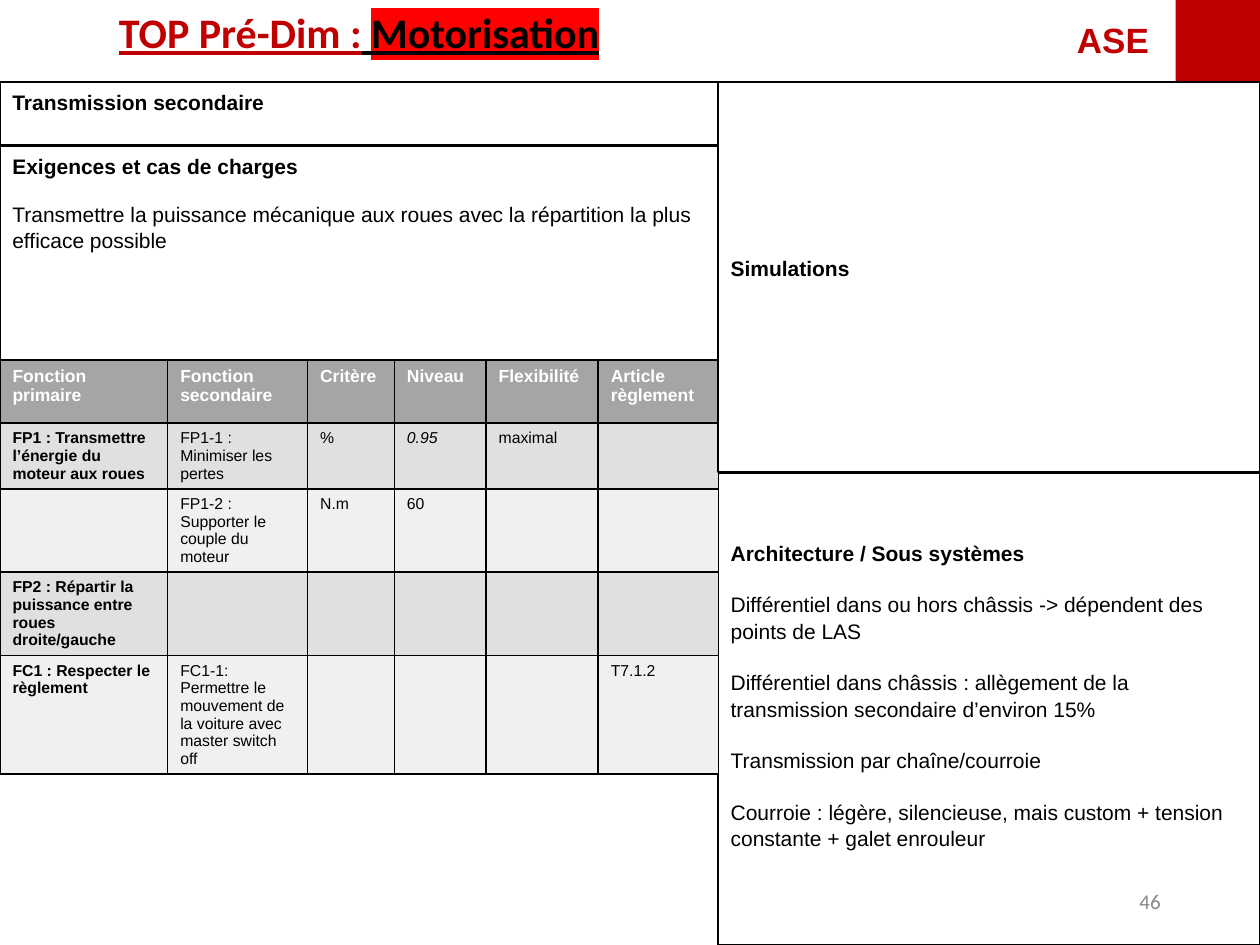
from lxml import etree
from pptx import Presentation
from pptx import util as u
from pptx.dml.color import RGBColor
from pptx.enum import shapes, text
from pptx.oxml import ns

Cm, Pt = u.Cm, u.Pt
TOP, MID = text.MSO_ANCHOR.TOP, text.MSO_ANCHOR.MIDDLE
LEFT, RIGHT, CENTER = (text.PP_ALIGN.LEFT, text.PP_ALIGN.RIGHT,
                       text.PP_ALIGN.CENTER)

HUES = {"red": "C00000", "mark": "FF0000", "ink": "000000",
        "white": "FFFFFF", "pale": "888888",
        "head": "A5A5A5", "odd": "E0E0E0", "even": "F0F0F0"}

BODY = {"name": "Arial", "size": Pt(12), "bold": False}
BOLD = {**BODY, "bold": True}
TITLE = {"name": "Calibri", "size": Pt(24), "bold": True, "underline": True}
CELL = {**BODY, "size": Pt(9)}

# Page grid in cm: left column, right column and the line under the title
SPLIT, WIDE, TALL, BAND = 14.48, 25.4, 19.05, 1.65

COLS = [3.38, 2.82, 1.75, 1.85, 2.26, 2.42]
ROWS = [1.27, 1.32, 1.68, 1.68, 2.38]
DATA = [
    ["Fonction primaire", "Fonction secondaire", "Critère", "Niveau",
     "Flexibilité", "Article règlement"],
    ["FP1 : Transmettre l’énergie du moteur aux roues",
     "FP1-1 : Minimiser les pertes", "%", "0.95", "maximal", ""],
    ["", "FP1-2 : Supporter le couple du moteur", "N.m", "60", "", ""],
    ["FP2 : Répartir la puissance entre roues droite/gauche",
     "", "", "", "", ""],
    ["FC1 : Respecter le règlement",
     "FC1-1: Permettre le mouvement de la voiture avec master switch off",
     "", "", "", "T7.1.2"],
]

NEEDS = [
    ("Exigences et cas de charges", BOLD),
    ("Transmettre la puissance mécanique aux roues avec la répartition "
     "la plus efficace possible", BODY),
]
PARTS = [("Architecture / Sous systèmes", BOLD)] + [(line, BODY) for line in (
    "Différentiel dans ou hors châssis -> dépendent des points de LAS",
    "Différentiel dans châssis : allègement de la transmission secondaire "
    "d’environ 15%",
    "Transmission par chaîne/courroie",
    "Courroie : légère, silencieuse, mais custom + tension constante "
    "+ galet enrouleur")]


def tint(hue):
    return RGBColor.from_string(HUES[hue])


def style(thing, vals):
    for key, val in vals.items():
        setattr(thing, key, val)


def write(para, words, form, hue="ink"):
    run = para.add_run()
    run.text = words
    style(run.font, form)
    run.font.color.rgb = tint(hue)
    return run


def place(shape, left, top, width, height):
    style(shape, {"left": Cm(left), "top": Cm(top),
                  "width": Cm(width), "height": Cm(height)})


def setup(shape, anchor=TOP, foot=0.13):
    """Prepare the text frame of a shape; foot is the bottom inset in cm."""
    style(shape.text_frame, {
        "word_wrap": True, "auto_size": text.MSO_AUTO_SIZE.NONE,
        "vertical_anchor": anchor, "margin_left": Cm(0.25),
        "margin_right": Cm(0.25), "margin_top": Cm(0.13),
        "margin_bottom": Cm(foot)})
    return shape.text_frame


def fill(frame, lines, gap=0):
    """Write unbulleted paragraphs, gap points apart."""
    for num, (words, form) in enumerate(lines):
        para = frame.paragraphs[0] if num == 0 else frame.add_paragraph()
        props = para._p.get_or_add_pPr()
        props.set("marL", "0")
        props.set("indent", "0")
        etree.SubElement(props, ns.qn("a:buNone"))
        style(para, {"alignment": LEFT, "line_spacing": 1.05,
                     "space_before": Pt(gap if num else 0)})
        write(para, words, form)


def edge(shape):
    shape.fill.background()
    shape.line.color.rgb = tint("ink")
    shape.line.width = Pt(1)


def block(slide, *area):
    shape = slide.shapes.add_shape(
        shapes.MSO_SHAPE.RECTANGLE, *[Cm(val) for val in area])
    shape.shadow.inherit = False
    return shape


def panel(slide, area, lines, gap=0, **opts):
    shape = block(slide, *area)
    edge(shape)
    fill(setup(shape, **opts), lines, gap)


def label(slide, area, words, form, hue, anchor=TOP, align=LEFT):
    box = slide.shapes.add_textbox(*[Cm(val) for val in area])
    para = setup(box, anchor).paragraphs[0]
    para.alignment = align
    write(para, words, form, hue)


def title(slide):
    shape = slide.shapes.title
    place(shape, 0, 0, SPLIT, 1.27)
    para = setup(shape).paragraphs[0]
    para.alignment = CENTER
    write(para, "TOP Pré-Dim :", TITLE, "red")
    write(para, " ", TITLE)
    run = write(para, "Motorisation", TITLE)
    # Highlight sits right after the text fill
    mark = etree.Element(ns.qn("a:highlight"))
    etree.SubElement(mark, ns.qn("a:srgbClr"), val=HUES["mark"])
    run.font._element.find(ns.qn("a:solidFill")).addnext(mark)


def frame(cell):
    """Black 1 pt border on all four sides of a cell."""
    props = cell._tc.get_or_add_tcPr()
    for side in "LRTB":
        line = etree.SubElement(props, ns.qn("a:ln" + side), w=str(Pt(1)))
        paint = etree.SubElement(line, ns.qn("a:solidFill"))
        etree.SubElement(paint, ns.qn("a:srgbClr"), val=HUES["ink"])


def grid(slide, left, top):
    table = slide.shapes.add_table(
        len(ROWS), len(COLS), Cm(left), Cm(top),
        Cm(sum(COLS)), Cm(sum(ROWS))).table
    for col, width in zip(table.columns, COLS):
        col.width = Cm(width)
    for row, height in zip(table.rows, ROWS):
        row.height = Cm(height)
    for r, row in enumerate(DATA):
        for c, words in enumerate(row):
            cell = table.cell(r, c)
            frame(cell)
            cell.fill.solid()
            cell.fill.fore_color.rgb = tint(
                "head" if r == 0 else "odd" if r % 2 else "even")
            para = cell.text_frame.paragraphs[0]
            if not words:
                para.font.size = CELL["size"]
                continue
            form = {**CELL, "size": Pt(9 if r else 10),
                    "bold": r == 0 or c == 0, "italic": words == "0.95"}
            write(para, words, form, "ink" if r else "white")


def main():
    prs = Presentation()
    style(prs, {"slide_width": Cm(WIDE), "slide_height": Cm(TALL)})
    slide = prs.slides.add_slide(prs.slide_layouts[1])
    right = WIDE - SPLIT

    # Header
    title(slide)
    label(slide, (21.46, 0.25, 2.24, 1.12), "ASE",
          {**BOLD, "size": Pt(20)}, "red")
    flag = block(slide, 23.7, 0, 1.7, BAND)
    flag.fill.solid()
    flag.fill.fore_color.rgb = tint("red")
    flag.line.fill.background()

    # Left column
    panel(slide, (0, BAND, SPLIT, 1.27), [("Transmission secondaire", BOLD)])
    panel(slide, (0, 2.95, SPLIT, 4.32), NEEDS, gap=12)
    grid(slide, 0, 7.26)

    # Right column
    panel(slide, (SPLIT, BAND, right, 7.87), [("Simulations", BOLD)],
          anchor=MID, foot=0.53)
    body = slide.placeholders[1]
    place(body, SPLIT, 9.53, right, TALL - 9.53)
    edge(body)
    fill(setup(body, MID, 0.69), PARTS, gap=14.4)

    # Page number
    label(slide, (17.93, 17.65, 5.72, 1.02), "46",
          {"name": "Calibri", "size": Pt(12)}, "pale", MID, RIGHT)

    prs.save("out.pptx")


if __name__ == "__main__":
    main()
